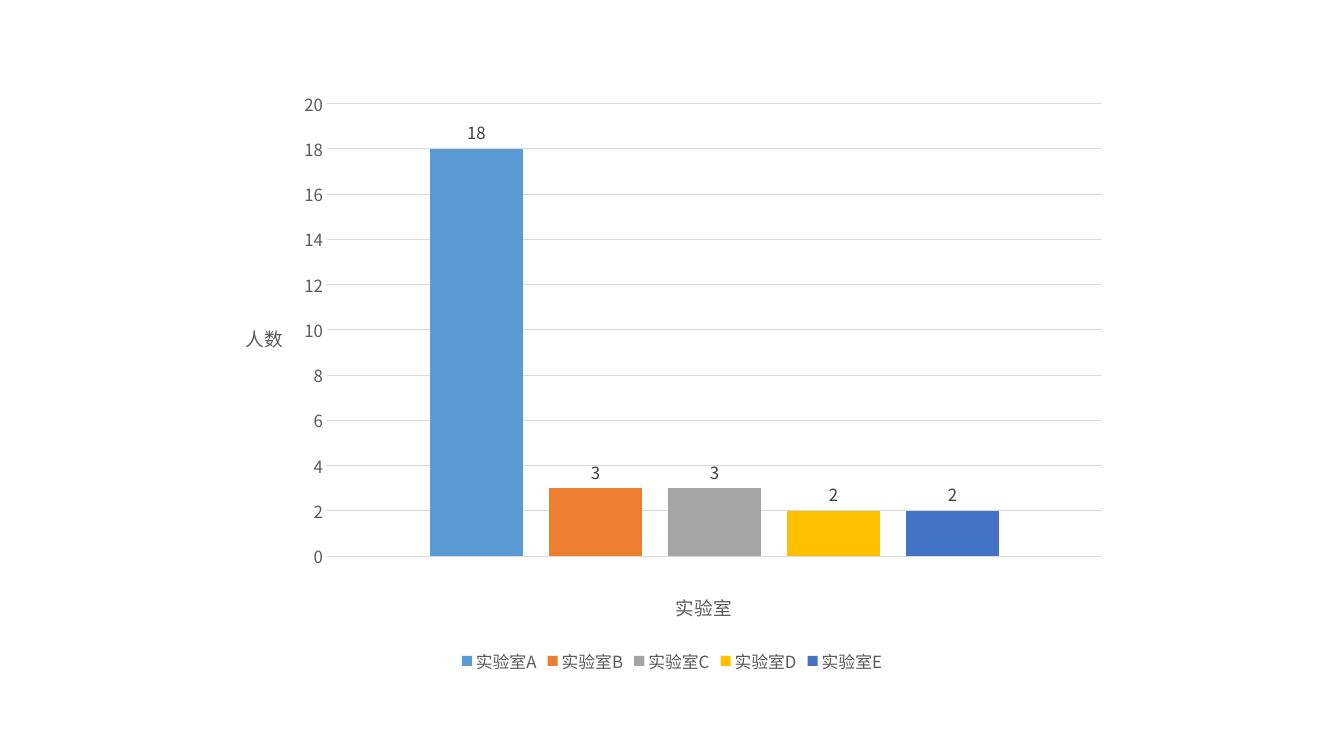
from lxml import etree
from pptx import Presentation
from pptx.chart.data import CategoryChartData
from pptx.dml.color import RGBColor
from pptx.enum.chart import XL_CHART_TYPE, XL_LABEL_POSITION, XL_LEGEND_POSITION, XL_TICK_MARK
from pptx.oxml import parse_xml
from pptx.oxml.ns import nsdecls, qn
from pptx.util import Pt

CLUSTERED = XL_CHART_TYPE.COLUMN_CLUSTERED
OUTSIDE_END = XL_LABEL_POSITION.OUTSIDE_END
BOTTOM = XL_LEGEND_POSITION.BOTTOM
NO_TICK = XL_TICK_MARK.NONE

FONT = "Noto Sans CJK SC"
COLORS = {"text": "595959", "label": "404040", "grid": "D9D9D9"}
LABS = [
    ("实验室A", 18, "5B9BD5"),
    ("实验室B", 3, "ED7D31"),
    ("实验室C", 3, "A5A5A5"),
    ("实验室D", 2, "FFC000"),
    ("实验室E", 2, "4472C4"),
]
PLOT_AREA = {"x": 0.115, "y": 0.04, "w": 0.865, "h": 0.757}
LAB_TITLE = {"x": 0.5, "y": 0.85}
COUNT_TITLE = {"x": 0.02, "y": 0.4}


def style_font(font, size, color):
    font.name = FONT
    font.size = Pt(size)
    font.bold = False
    font.color.rgb = RGBColor.from_string(COLORS[color])


def make_layout(places, inner=False):
    target = '<c:layoutTarget val="inner"/>' if inner else ""
    modes = "".join(f'<c:{key}Mode val="edge"/>' for key in "xy")
    values = "".join(f'<c:{key} val="{value}"/>' for key, value in places.items())
    return parse_xml(
        f'<c:layout {nsdecls("c")}><c:manualLayout>{target}{modes}{values}'
        "</c:manualLayout></c:layout>"
    )


def remove_layout(element):
    for layout in element.findall(qn("c:layout")):
        element.remove(layout)


def add_title(axis, text, places):
    frame = axis.axis_title.text_frame
    frame.text = text
    style_font(frame.paragraphs[0].runs[0].font, 13.3, "text")
    title = axis.axis_title._element
    remove_layout(title)
    title.find(qn("c:tx")).addnext(make_layout(places))
    body = title.find(".//" + qn("a:bodyPr"))
    body.set("rot", "0")
    body.set("vert", "horz")


deck = Presentation()
deck.slide_width, deck.slide_height = Pt(960), Pt(540)
page = deck.slides.add_slide(deck.slide_layouts[6])

data = CategoryChartData()
data.categories = ["1"]
for name, count, color in LABS:
    data.add_series(name, [count])
chart = page.shapes.add_chart(CLUSTERED, Pt(160), Pt(57), Pt(640), Pt(427), data).chart
chart.has_title = False
style_font(chart.font, 12, "text")

plot = chart.plots[0]
plot.vary_by_categories = False
plot.gap_width = 219
plot.overlap = -27
for series, (name, count, color) in zip(plot.series, LABS):
    series.format.fill.solid()
    series.format.fill.fore_color.rgb = RGBColor.from_string(color)
    labels = series.data_labels
    labels.show_value = True
    labels.position = OUTSIDE_END
    style_font(labels.font, 12, "label")

lab_axis, count_axis = chart.category_axis, chart.value_axis
lab_axis.visible = False
add_title(lab_axis, "实验室", LAB_TITLE)
add_title(count_axis, "人数", COUNT_TITLE)
count_axis.minimum_scale = 0
count_axis.maximum_scale = 20
count_axis.major_unit = 2
count_axis.major_tick_mark = count_axis.minor_tick_mark = NO_TICK
count_axis.format.line.fill.background()
style_font(count_axis.tick_labels.font, 12, "text")
grid = count_axis.major_gridlines.format.line
grid.width = Pt(0.75)
grid.color.rgb = RGBColor.from_string(COLORS["grid"])

chart.has_legend = True
chart.legend.position = BOTTOM
chart.legend.include_in_layout = False
style_font(chart.legend.font, 12, "text")

chart_space = chart._chartSpace
plot_area = chart_space.find(".//" + qn("c:plotArea"))
remove_layout(plot_area)
plot_area.insert(0, make_layout(PLOT_AREA, inner=True))
for latin in list(chart_space.iter(qn("a:latin"))):
    east_asian = etree.Element(qn("a:ea"), typeface=FONT)
    latin.addnext(east_asian)

deck.save("out.pptx")
